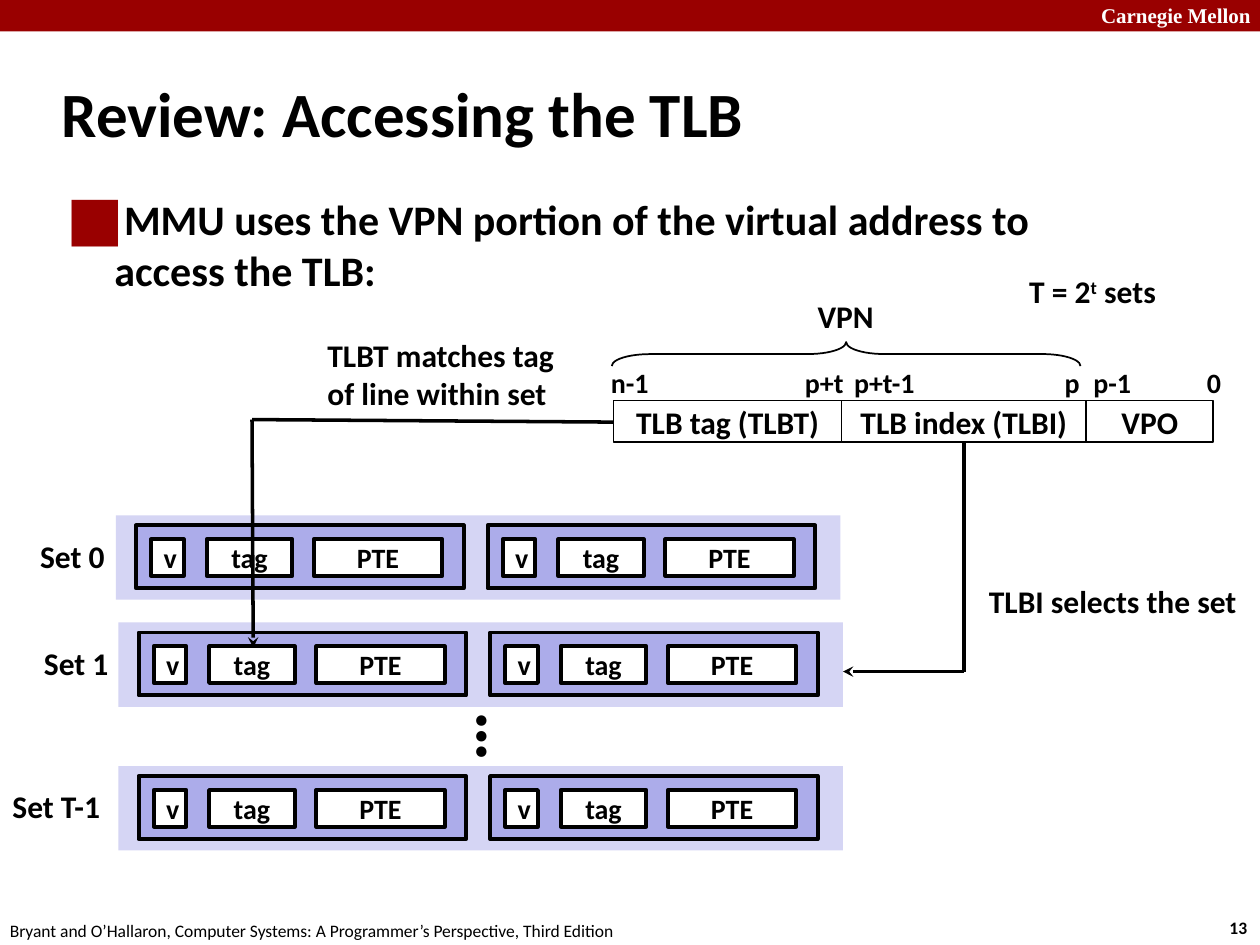
from dataclasses import dataclass

from lxml.etree import SubElement
from pptx import Presentation
from pptx.dml.color import RGBColor
from pptx.enum.shapes import MSO_CONNECTOR as Connector, MSO_SHAPE as Preset
from pptx.enum.text import MSO_ANCHOR as Anchor, PP_ALIGN as Align
from pptx.oxml.ns import qn
from pptx.util import Pt

PX = 9144  # 100 px to the inch


@dataclass(frozen=True)
class Theme:
    ink: str = "000000"
    paper: str = "FFFFFF"
    accent: str = "990000"
    set_fill: str = "D5D5F4"
    line_fill: str = "ACACEA"
    font: str = "Calibri"
    banner_font: str = "Times New Roman"
    title: int = 36
    body: int = 24
    dots: int = 40
    label: int = 18
    small: int = 16
    banner: int = 12
    footer: int = 10
    bullet_percent: int = 145
    thin: float = 1
    arrow: float = 2
    thick: float = 2.25


THEME = Theme()


def emu(*lengths):
    return [length * PX for length in lengths]


def style(para, size, color=THEME.ink, bold=True, font=THEME.font):
    para.font.name = font
    para.font.size = Pt(size)
    para.font.bold = bold
    para.font.color.rgb = RGBColor.from_string(color)


def add_text(page, box, text, size=THEME.label, anchor=Anchor.TOP, wrap=True, **look):
    text_box = page.shapes.add_textbox(*emu(*box))
    frame = text_box.text_frame
    frame.word_wrap = wrap
    frame.vertical_anchor = anchor
    para = frame.paragraphs[0]
    para.text = text
    style(para, size, **look)
    return text_box


def add_box(page, box, fill=None, line=None, text="", size=THEME.label, preset=Preset.RECTANGLE):
    shape = page.shapes.add_shape(preset, *emu(*box))
    shape.shadow.inherit = False
    if fill:
        shape.fill.solid()
        shape.fill.fore_color.rgb = RGBColor.from_string(fill)
    else:
        shape.fill.background()
    if line:
        shape.line.width = Pt(line)
        shape.line.color.rgb = RGBColor.from_string(THEME.ink)
    else:
        shape.line.fill.background()
    if text:
        frame = shape.text_frame
        frame.word_wrap = True
        frame.vertical_anchor = Anchor.MIDDLE
        para = frame.paragraphs[0]
        para.text = text
        para.alignment = Align.CENTER
        style(para, size)
    return shape


def add_arrow(page, points):
    """Joins the points with straight lines and puts an arrowhead on the last."""
    for start, end in zip(points, points[1:]):
        line = page.shapes.add_connector(Connector.STRAIGHT, *emu(*start, *end))
        line.line.width = Pt(THEME.arrow)
        line.line.color.rgb = RGBColor.from_string(THEME.ink)
        if end == points[-1]:
            SubElement(line.line._get_or_add_ln(), qn("a:tailEnd"), type="stealth")
        SubElement(line._element.spPr, qn("a:effectLst"))


def add_frame(page, width):
    """Banner at the top, source and page number at the bottom."""
    add_box(page, (0, 0, width, 25), THEME.accent)
    add_text(page, (864, -3, 143, 30), "Carnegie Mellon", THEME.banner,
             color=THEME.paper, font=THEME.banner_font)
    add_text(page, (966, 723, 37, 27), "13", THEME.footer, wrap=False)
    add_text(page, (-2, 725, 508, 27),
             "Bryant and O’Hallaron, Computer Systems: A Programmer’s Perspective, Third Edition",
             THEME.footer, wrap=False, bold=False)


def add_bullet(page, box, text):
    frame = page.shapes.add_textbox(*emu(*box)).text_frame
    frame.word_wrap = True
    para = frame.paragraphs[0]
    para.text = text
    properties = para._p.get_or_add_pPr()
    properties.set("marL", str(38 * PX))
    properties.set("indent", str(-38 * PX))
    color = SubElement(properties, qn("a:buClr"))
    SubElement(color, qn("a:srgbClr"), val=THEME.accent)
    SubElement(properties, qn("a:buSzPct"), val=str(THEME.bullet_percent * 1000))
    SubElement(properties, qn("a:buFont"), typeface=THEME.font)
    SubElement(properties, qn("a:buChar"), char="■")
    style(para, THEME.body)


def add_address(page, left, top):
    """Virtual address fields, their bit numbers and the VPN brace."""
    x = left
    for name, width, fill in (("TLB tag (TLBT)", 181, THEME.paper),
                              ("TLB index (TLBI)", 194, None), ("VPO", 101, None)):
        add_box(page, (x, top, width, 33), fill, THEME.thin, name)
        x += width
    for bit, offset, width in (("n-1", -12, 51), ("p+t", 142, 51), ("p+t-1", 181, 69),
                               ("p", 348, 32), ("p-1", 371, 51), ("0", 461, 32)):
        add_text(page, (left + offset, top - 33, width, 37), bit, THEME.small, Anchor.MIDDLE)
    brace = add_box(page, (left + 175, top - 223, 19, 372), line=THEME.thin,
                    preset=Preset.LEFT_BRACE)
    brace.rotation = 90
    brace.adjustments[0] = 1.6
    add_text(page, (left + 152, top - 87, 65, 40), "VPN", anchor=Anchor.MIDDLE)


def add_cache_line(page, left, top):
    add_box(page, (left, top, 260, 50), THEME.line_fill, THEME.thick)
    for name, offset, width in (("v", 12, 26), ("tag", 56, 68), ("PTE", 141, 102)):
        add_box(page, (left + offset, top + 11, width, 29), THEME.paper, THEME.thick,
                name, THEME.small)


def add_cache_set(page, left, top, name, name_left, name_width):
    add_box(page, (left, top, 575, 67), THEME.set_fill)
    for way in range(2):
        add_cache_line(page, left + 16 + 279 * way, top + 8)
    add_text(page, (name_left, top + 12, name_width, 40), name)


def add_set_count(page, box):
    para = add_text(page, box, "T = 2").text_frame.paragraphs[0]
    exponent = para.add_run()
    exponent.text = "t"
    exponent.font._element.set("baseline", "30000")
    para.add_run().text = " sets"


def add_lookup(page):
    """Arrows from the address fields to the chosen set and tag."""
    add_arrow(page, [(765, 351), (765, 533), (669, 533)])
    add_text(page, (775, 457, 219, 40), "TLBI selects the set")
    add_arrow(page, [(487, 335), (200, 333), (201, 514)])
    add_text(page, (250, 262, 225, 71), "TLBT matches tag of line within set")


def main():
    deck = Presentation()
    deck.slide_width, deck.slide_height = emu(1000, 750)
    page = deck.slides.add_slide(deck.slide_layouts[6])
    add_frame(page, 1000)
    add_text(page, (39, 48, 830, 83), "Review: Accessing the TLB", THEME.title, Anchor.MIDDLE)
    add_bullet(page, (43, 149, 864, 93),
               "MMU uses the VPN portion of the virtual address to access the TLB:")
    add_address(page, 487, 318)
    for cache_set in ((92, 409, "Set 0", 22, 72), (94, 494, "Set 1", 25, 72),
                      (94, 608, "Set T-1", 0, 92)):
        add_cache_set(page, *cache_set)
    add_text(page, (334, 546, 60, 77), "…", THEME.dots).rotation = 270
    add_set_count(page, (807, 211, 125, 40))
    add_lookup(page)
    deck.save("out.pptx")


if __name__ == "__main__":
    main()
